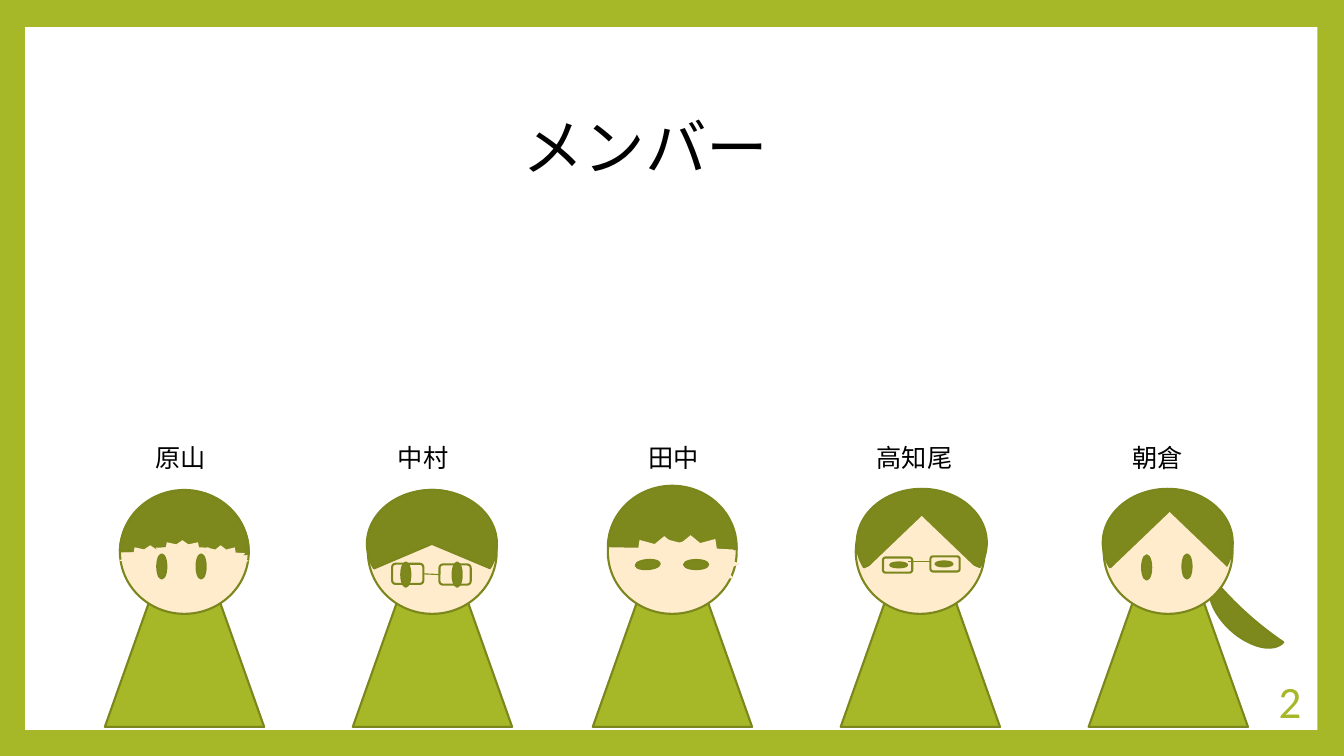
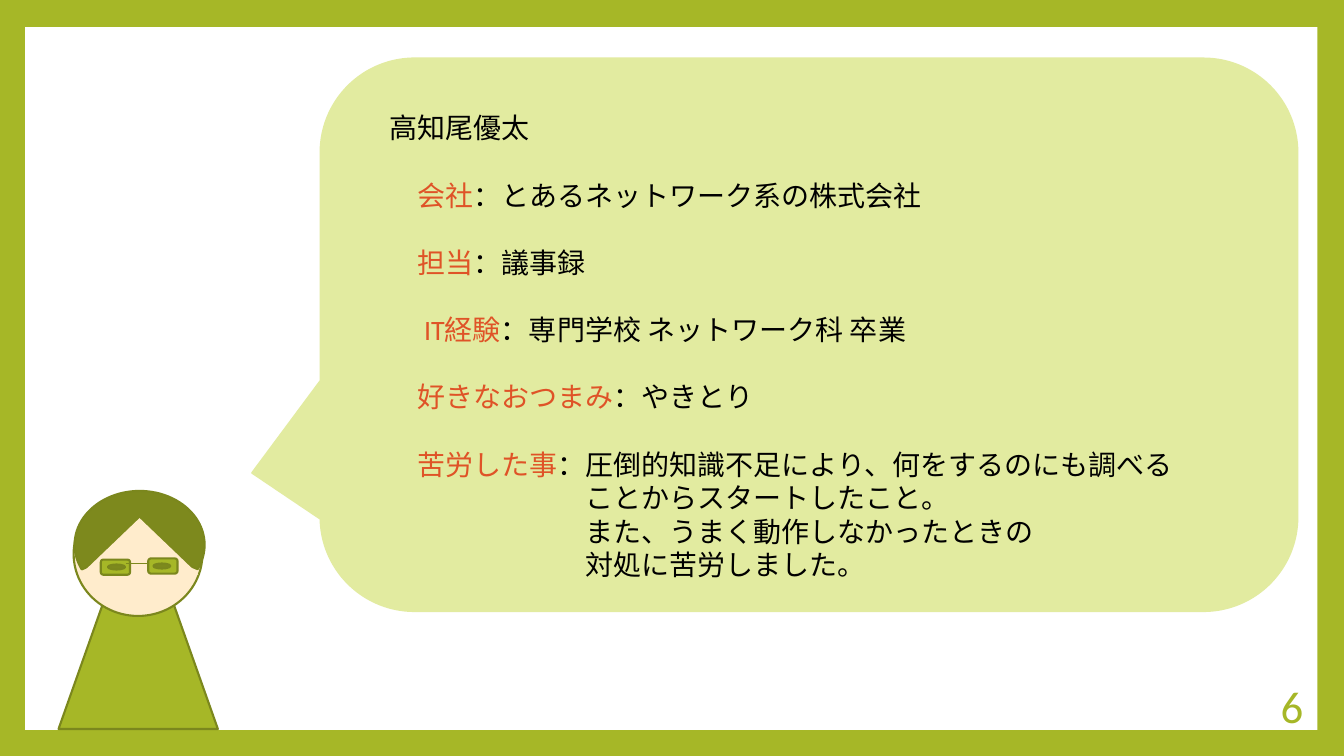
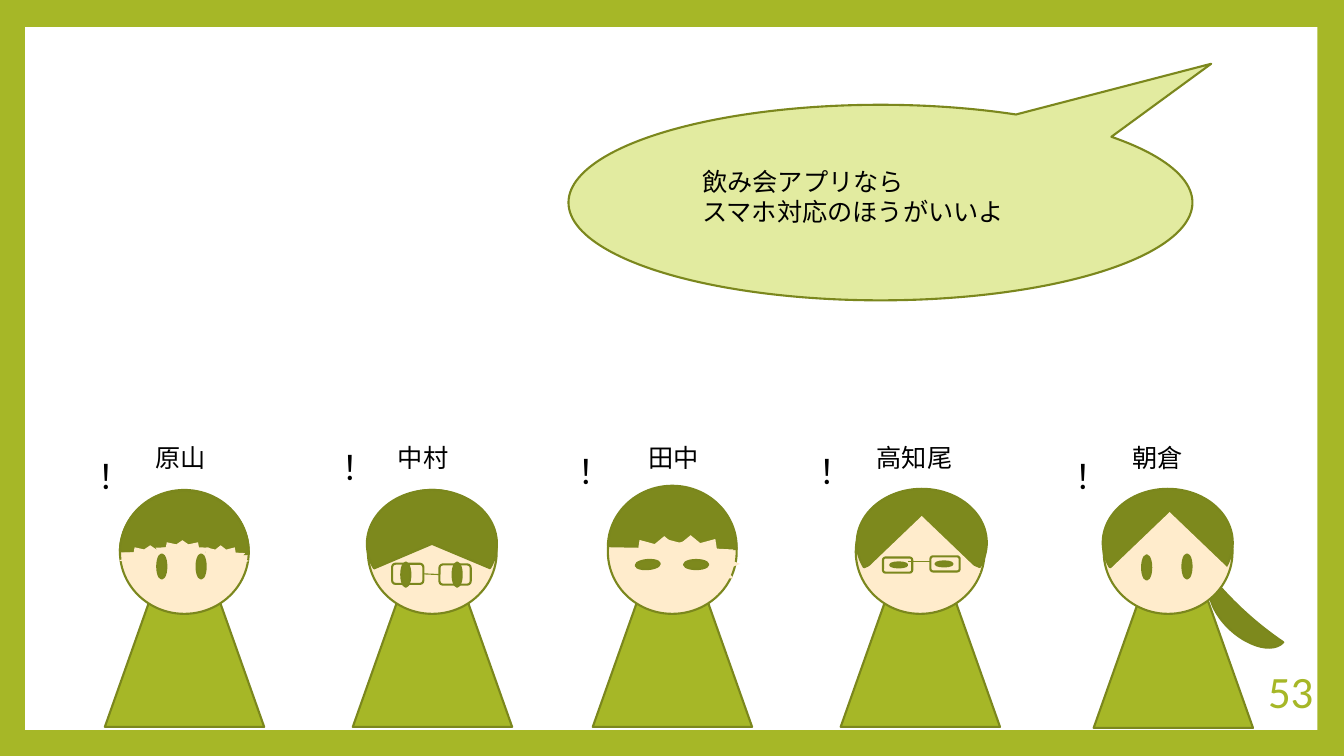
from lxml.etree import SubElement
from pptx import Presentation
from pptx.dml.color import RGBColor
from pptx.enum.shapes import MSO_CONNECTOR, MSO_SHAPE
from pptx.enum.text import MSO_ANCHOR, MSO_AUTO_SIZE, PP_ALIGN
from pptx.oxml.ns import qn
from pptx.util import Pt

COLORS = {
    "leaf": "A6B727",
    "hair": "7D891D",
    "edge": "7B871D",
    "skin": "FFECCC",
    "pale": "E2EBA0",
    "white": "FFFFFF",
    "black": "000000",
    "red": "DF5327",
}
LATIN = "Calibri"
ASIAN = "Noto Sans CJK JP"

FLAT = (108.63, 0.99)
DOME = (94.18, 13.66)
STAR = MSO_SHAPE.STAR_12_POINT
PEAK = MSO_SHAPE.ISOSCELES_TRIANGLE

CAST = {
    "原山": {
        "left": 74.9, "label": (103.7, 186), "mark": (63.4, 320.4),
        "cap": (10.8, 350.6, 92, 88, FLAT),
        "cuts": [(STAR, 62.6, 389.5, 40.3, 22.3), (STAR, 10.1, 389.5, 44.6, 21.6),
                 (STAR, 33.1, 385.9, 44.6, 21.6)],
        "eyes": [(37.4, 396, 6.5, 17.3, 0), (65.5, 396, 6.5, 17.3, 0)],
    },
    "中村": {
        "left": 252, "label": (277.2, 63), "mark": (237.6, 313.9),
        "cap": (10.1, 350, 92.9, 77, DOME),
        "lenses": [(28.1, 402.7, 22.3, 14.4), (61.9, 403.2, 22.3, 14.4)],
        "eyes": [(34.6, 401.8, 6.5, 17.3, 0), (71.3, 401.8, 6.5, 17.3, 0)],
    },
    "田中": {
        "left": 423.4, "label": (455.8, 145), "mark": (406.1, 316.8),
        "cap": (10.8, 347, 92, 88, FLAT),
        "cuts": [(STAR, 34.6, 382.3, 70.6, 41), (STAR, 15.8, 383, 70.6, 41)],
        "eyes": [(36, 394.6, 6.5, 17.3, 85.8), (70.6, 394.6, 6.5, 17.3, 90)],
    },
    "高知尾": {
        "left": 600.5, "label": (619.2, 132), "mark": (578.2, 316.8),
        "cap": (11.5, 349.2, 92.9, 77, DOME),
        "cuts": [(PEAK, 15.8, 368.6, 84.2, 40.3)],
        "lenses": [(30.2, 398.2, 20.9, 10.8), (64.1, 397.4, 20.9, 10.8)],
        "bridge": (48.2, 64.1, 401),
        "eyes": [(39.6, 397.4, 3.6, 12.2, 90), (72, 396.7, 3.6, 12.2, 90)],
    },
    "朝倉": {
        "left": 777.6, "label": (802, 132), "mark": (761, 320.4),
        "tail": (98.6, 409.7, 18.7, 67),
        "cap": (10.1, 349.2, 92.9, 77, DOME),
        "cuts": [(PEAK, 15.8, 365.8, 84.2, 40.3)],
        "eyes": [(38.2, 396.7, 6.5, 17.3, 0), (67, 396, 6.5, 17.3, 0)],
    },
}

FACTS = [
    ("会社", ["とあるネットワーク系の株式会社"], 20, 0),
    ("担当", ["議事録"], 20, 0),
    ("IT経験", ["専門学校 ネットワーク科 卒業"], 25, 0),
    ("好きなおつまみ", ["やきとり"], 20, 0),
    ("苦労した事", ["圧倒的知識不足により、何をするのにも調べる",
                "ことからスタートしたこと。",
                "また、うまく動作しなかったときの",
                "対処に苦労しました。"], 140, -120),
]


class Deck:
    def __init__(self):
        self.prs = Presentation()
        self.prs.slide_width, self.prs.slide_height = Pt(960), Pt(540)
        fill = self.prs.slide_master.background.fill
        fill.solid()
        fill.fore_color.rgb = self.color("leaf")

    def color(self, name):
        return RGBColor.from_string(COLORS[name])

    def start(self, layout):
        self.slide = self.prs.slides.add_slide(self.prs.slide_layouts[layout])
        self.shapes = self.slide.shapes
        self.shape(MSO_SHAPE.RECTANGLE, 18, 19.4, 923, 502, "white")

    def shape(self, kind, x, y, w, h, fill, edge=None, turn=0, adjust=()):
        item = self.shapes.add_shape(kind, Pt(x), Pt(y), Pt(w), Pt(h))
        item.shadow.inherit = False
        item.rotation = turn
        item.fill.solid()
        item.fill.fore_color.rgb = self.color(fill)
        if edge:
            item.line.color.rgb = self.color(edge)
            item.line.width = Pt(1.5)
        else:
            item.line.fill.background()
        for i, value in enumerate(adjust):
            item.adjustments[i] = value
        return item

    def line(self, x1, y1, x2, y2):
        item = self.shapes.add_connector(
            MSO_CONNECTOR.STRAIGHT, Pt(x1), Pt(y1), Pt(x2), Pt(y2))
        item.line.color.rgb = self.color("hair")
        item.line.width = Pt(0.79)
        SubElement(item.element.spPr, qn("a:effectLst"))
        return item

    def run(self, para, text, size, color="black"):
        run = para.add_run()
        run.text = text
        run.font.size = Pt(size)
        run.font.name = LATIN
        run.font.color.rgb = self.color(color)
        SubElement(run._r.get_or_add_rPr(), qn("a:ea"), typeface=ASIAN)

    def para(self, frame, size, first=False, gap=0):
        para = frame.paragraphs[0] if first else frame.add_paragraph()
        para.alignment = PP_ALIGN.LEFT
        para.line_spacing = Pt(1.2 * size)
        para.space_before = Pt(gap)
        return para

    def frame(self, box, size, pad=7.2):
        frame = box.text_frame
        frame.word_wrap = True
        frame.auto_size = MSO_AUTO_SIZE.NONE
        frame.vertical_anchor = MSO_ANCHOR.TOP
        frame.margin_left, frame.margin_right = Pt(pad), Pt(7.2)
        frame.margin_top, frame.margin_bottom = Pt(3.6 + 0.07 * size), Pt(3.6)
        return frame

    def text(self, lines, x, y, w, h, size, pad=7.2):
        box = self.shapes.add_textbox(Pt(x), Pt(y), Pt(w), Pt(h))
        frame = self.frame(box, size, pad)
        for i, line in enumerate(lines):
            self.run(self.para(frame, size, i == 0), line, size)

    def place(self, item, x, y, w, h):
        item.left, item.top, item.width, item.height = Pt(x), Pt(y), Pt(w), Pt(h)
        item.element.getparent().append(item.element)

    def title(self, text, x, y, w, h):
        item = self.shapes.title
        self.place(item, x, y, w, h)
        self.run(self.para(self.frame(item, 44), 44, True), text, 44)

    def facts(self, name, rows, x, y, w, h):
        title = self.shapes.title.element
        title.getparent().remove(title)
        item = self.slide.placeholders[1]
        self.place(item, x, y, w, h)
        frame = self.frame(item, 20)
        self.run(self.fact(frame, 0, 0, True), name, 20)
        for head, lines, left, indent in rows:
            para = self.fact(frame, left, indent)
            self.run(para, head, 20, "red")
            self.run(para, "：", 20)
            for i, line in enumerate(lines):
                if i:
                    para.add_line_break()
                self.run(para, line, 20)

    def fact(self, frame, left, indent, first=False):
        para = self.para(frame, 20, first, 0 if first else 24)
        props = para._p.get_or_add_pPr()
        props.set("marL", str(Pt(left)))
        props.set("indent", str(Pt(indent)))
        SubElement(props, qn("a:buNone"))
        return para

    def page(self, number, x, y):
        box = self.shapes.add_textbox(Pt(x), Pt(y), Pt(134.6), Pt(28.8))
        frame = box.text_frame
        frame.word_wrap = True
        frame.vertical_anchor = MSO_ANCHOR.MIDDLE
        para = frame.paragraphs[0]
        para.alignment = PP_ALIGN.RIGHT
        self.run(para, number, 32, "leaf")

    def person(self, name, left=None, drop=0, glass="skin", lean=0):
        who = CAST[name]
        x0 = who["left"] if left is None else left
        self.shape(PEAK, x0 + lean, 358.6 + drop + lean / 5, 113.8, 160.6, "leaf", "edge")
        if "tail" in who:
            x, y, w, h = who["tail"]
            self.shape(MSO_SHAPE.MOON, x0 + x, y + drop, w, h, "hair", "edge", 312.1, [0.875])
        self.shape(MSO_SHAPE.OVAL, x0 + 10.8, 350 + drop, 92, 88.5, "skin", "edge")
        x, y, w, h, arc = who["cap"]
        self.shape(MSO_SHAPE.PIE, x0 + x, y + drop, w, h, "hair", "edge", adjust=arc)
        for kind, x, y, w, h in who.get("cuts", []):
            self.shape(kind, x0 + x, y + drop, w, h, "skin")
        lenses = [self.shape(MSO_SHAPE.ROUNDED_RECTANGLE, x0 + x, y + drop, w, h, glass, "edge")
                  for x, y, w, h in who.get("lenses", [])]
        if "bridge" in who:
            x1, x2, y = who["bridge"]
            self.line(x0 + x1, y + drop, x0 + x2, y + drop)
        elif lenses:
            join = self.line(0, 0, 0, 0)
            join.begin_connect(lenses[0], 3)
            join.end_connect(lenses[1], 1)
        for x, y, w, h, turn in who["eyes"]:
            self.shape(MSO_SHAPE.OVAL, x0 + x, y + drop, w, h, "hair", "edge", turn)

    def team(self, lean=0):
        for name, who in CAST.items():
            self.person(name, lean=lean if "tail" in who else 0)
            x, w = who["label"]
            self.text([name], x, 311, w, 29, 18)


def main():
    deck = Deck()

    deck.start(5)
    deck.title("メンバー", 365.8, 71.3, 216, 60.5)
    deck.team()
    deck.page("2", 802, 486)

    deck.start(1)
    deck.person("高知尾", left=41.8, drop=1.5, glass="leaf")
    deck.shape(MSO_SHAPE.ROUNDED_RECTANGULAR_CALLOUT, 229, 41.8, 697.7, 394.6,
               "pale", "pale", adjust=(-0.57, 0.25, 0.17))
    deck.facts("高知尾優太", FACTS, 270.7, 74.2, 612, 346.3)
    deck.page("6", 803.5, 489.6)

    deck.start(6)
    deck.page("53", 810.7, 478.8)
    deck.team(lean=3.6)
    deck.shape(MSO_SHAPE.OVAL_CALLOUT, 406.1, 74.9, 445.7, 139.7,
               "pale", "edge", adjust=(0.53, -0.71))
    deck.text(["飲み会アプリなら", "スマホ対応のほうがいいよ"], 494.6, 113.8, 360, 51, 18)
    for who in CAST.values():
        deck.text(["！"], *who["mark"], 32.4, 36, 24, pad=0.6)

    deck.prs.save("out.pptx")


if __name__ == "__main__":
    main()
